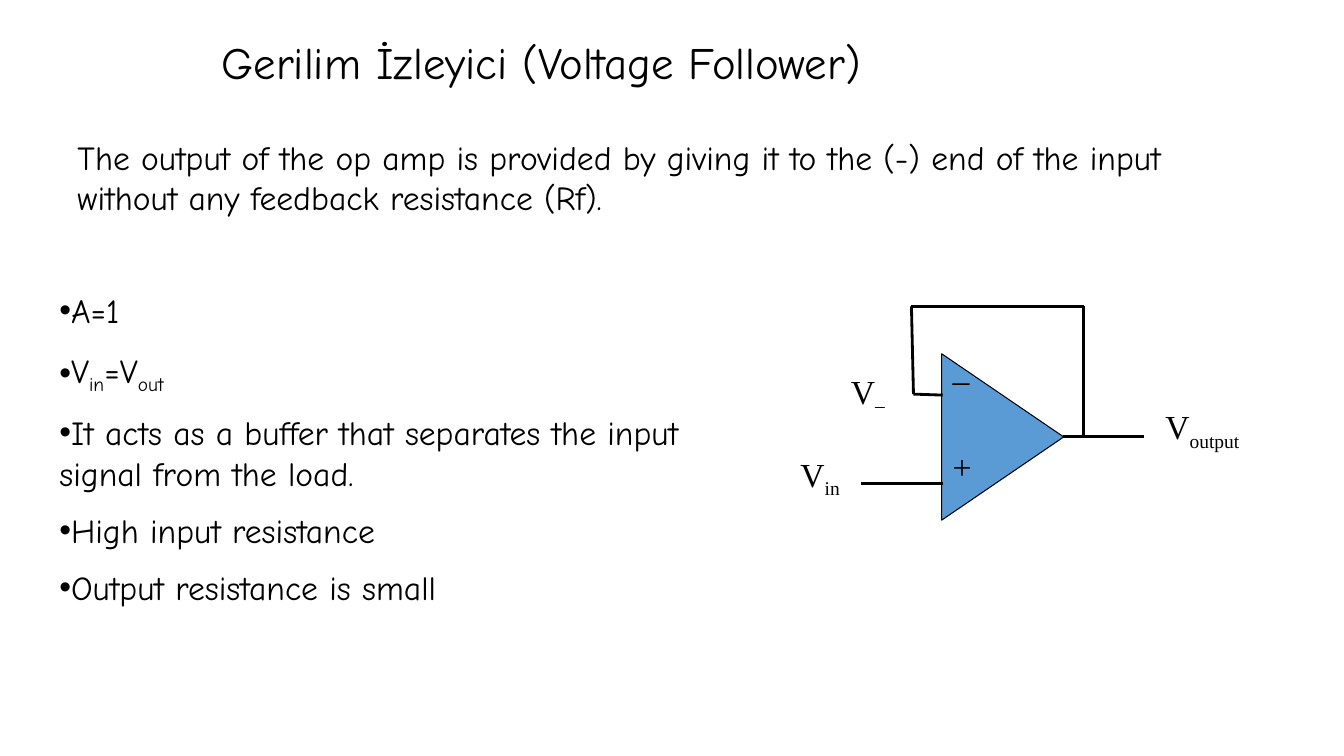
"""Build the voltage follower slide with its op amp circuit."""
from itertools import pairwise

from lxml import etree
from pptx import Presentation, util as u
from pptx.dml.color import RGBColor
from pptx.enum import shapes, text
from pptx.oxml.ns import qn

PX = u.Inches(1) // 100
THEME = {
    "ink": RGBColor.from_string("000000"),
    "amplifier": RGBColor.from_string("5B9BD5"),
    "body_font": "Comic Neue",
    "label_font": "Times New Roman",
    "bullet_font": "Arial",
    "title_size": u.Pt(32),
    "text_size": u.Pt(24),
    "wire_width": u.Pt(2),
    "outline_width": u.Pt(0.75),
}


def px(*lengths):
    return [length * PX for length in lengths]


def write(shape, lines, font, size=THEME["text_size"], wrap=True,
          anchor=text.MSO_ANCHOR.TOP, bullet=None, **paragraph_format):
    """Fill a shape with lines in which every second part between bars is a subscript."""
    frame = shape.text_frame
    frame.word_wrap = wrap
    frame.vertical_anchor = anchor
    for index, line in enumerate(lines):
        paragraph = frame.paragraphs[0] if index == 0 else frame.add_paragraph()
        paragraph.alignment = text.PP_ALIGN.LEFT
        if index:
            paragraph.space_before = u.Pt(12)
        for name, value in paragraph_format.items():
            setattr(paragraph, name, value)
        if bullet:
            properties = paragraph._p.get_or_add_pPr()
            properties.set("marL", "0")
            properties.set("indent", "0")
            etree.SubElement(properties, qn("a:buFont")).set("typeface", THEME["bullet_font"])
            etree.SubElement(properties, qn("a:buChar")).set("char", bullet)
        for position, part in enumerate(line.split("|")):
            run = paragraph.add_run()
            run.text = part
            for name, value in {"name": font, "size": size}.items():
                setattr(run.font, name, value)
            run.font.color.rgb = THEME["ink"]
            if position % 2:
                run._r.get_or_add_rPr().set("baseline", "-25000")


presentation = Presentation()
presentation.slide_width, presentation.slide_height = px(1333, 750)
slide = presentation.slides.add_slide(presentation.slide_layouts[6])

title = slide.shapes.add_textbox(*px(210, 28, 764, 72))
write(title, ["Gerilim İzleyici (Voltage Follower)"], THEME["body_font"],
      THEME["title_size"], anchor=text.MSO_ANCHOR.MIDDLE, line_spacing=0.9)

amplifier = slide.shapes.add_shape(
    shapes.MSO_SHAPE.ISOSCELES_TRIANGLE, *px(912, 373, 165, 121))
amplifier.rotation = 90
amplifier.shadow.inherit = False
amplifier.fill.solid()
amplifier.fill.fore_color.rgb = THEME["amplifier"]
amplifier.line.color.rgb = THEME["ink"]
amplifier.line.width = THEME["outline_width"]

feedback_wire = [(1075, 433), (1075, 304), (904, 304), (906, 391), (935, 392)]
output_wire = [(1135, 433), (1054, 433)]
input_wire = [(935, 480), (854, 480)]
for points in (feedback_wire, output_wire, input_wire):
    for start, end in pairwise(points):
        wire = slide.shapes.add_connector(
            shapes.MSO_CONNECTOR.STRAIGHT, *px(*start, *end))
        wire.line.color.rgb = THEME["ink"]
        wire.line.width = THEME["wire_width"]
        etree.SubElement(wire._element.spPr, qn("a:effectLst"))

labels = [
    ("+", 935, 437, 47),
    ("–", 935, 351, 40),
    ("V|–", 834, 363, 67),
    ("V|in", 784, 445, 74),
    ("V|output", 1146, 398, 122),
]
for label, left, top, width in labels:
    label_box = slide.shapes.add_textbox(*px(left, top, width, 71))
    write(label_box, [label], THEME["label_font"], wrap=False)

introduction = slide.shapes.add_textbox(*px(67, 131, 1201, 91))
write(introduction, [
    "The output of the op amp is provided by giving it to the (-) end of the input "
    "without any feedback resistance (Rf).",
], THEME["body_font"])

features = slide.shapes.add_textbox(*px(49, 281, 711, 337))
write(features, [
    "A=1",
    "V|in|=V|out",
    "It acts as a buffer that separates the input signal from the load.",
    "High input resistance",
    "Output resistance is small",
], THEME["body_font"], bullet="•")
for paragraph in features.text_frame.paragraphs[:2]:
    paragraph.line_spacing = 1.05

presentation.save("out.pptx")
